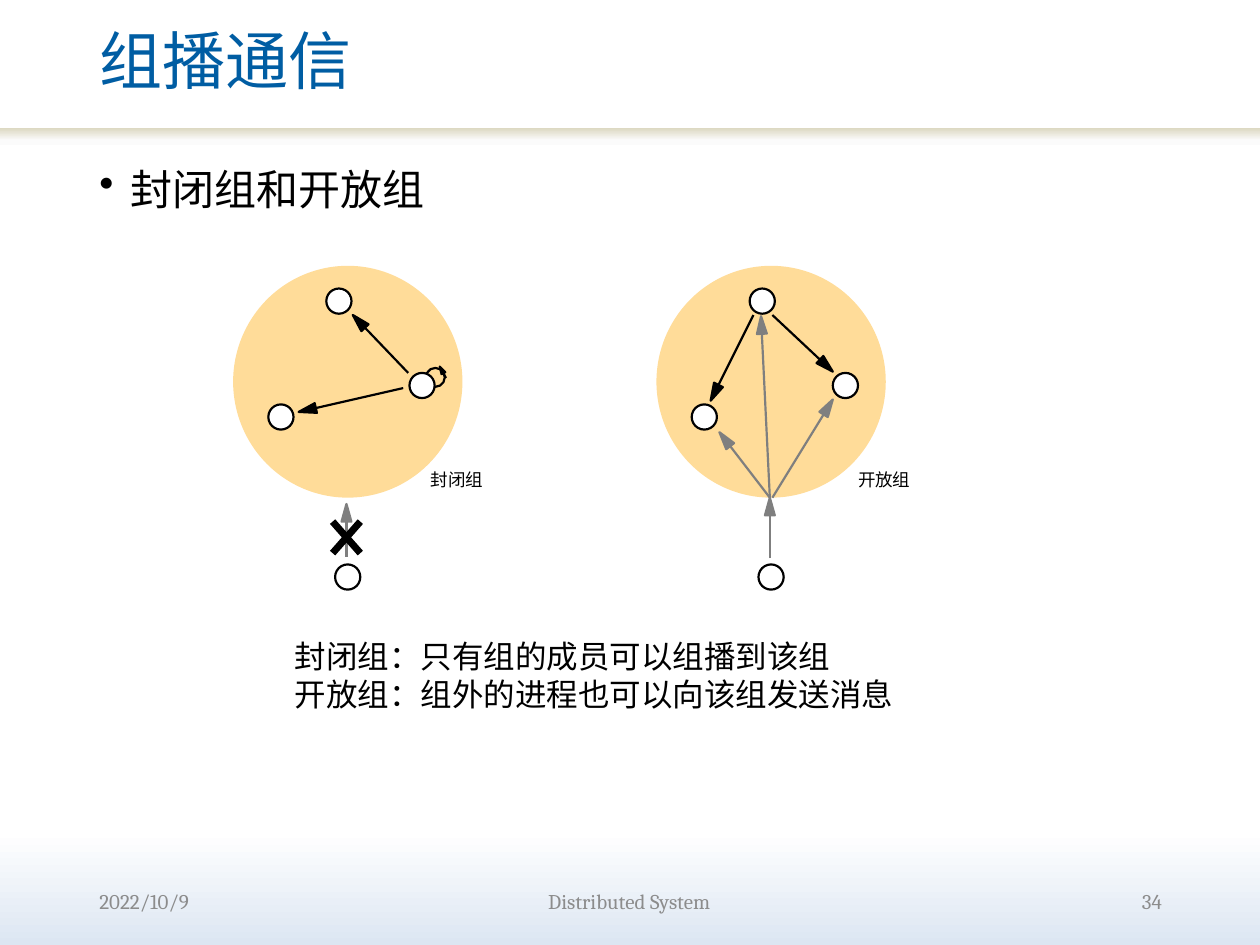
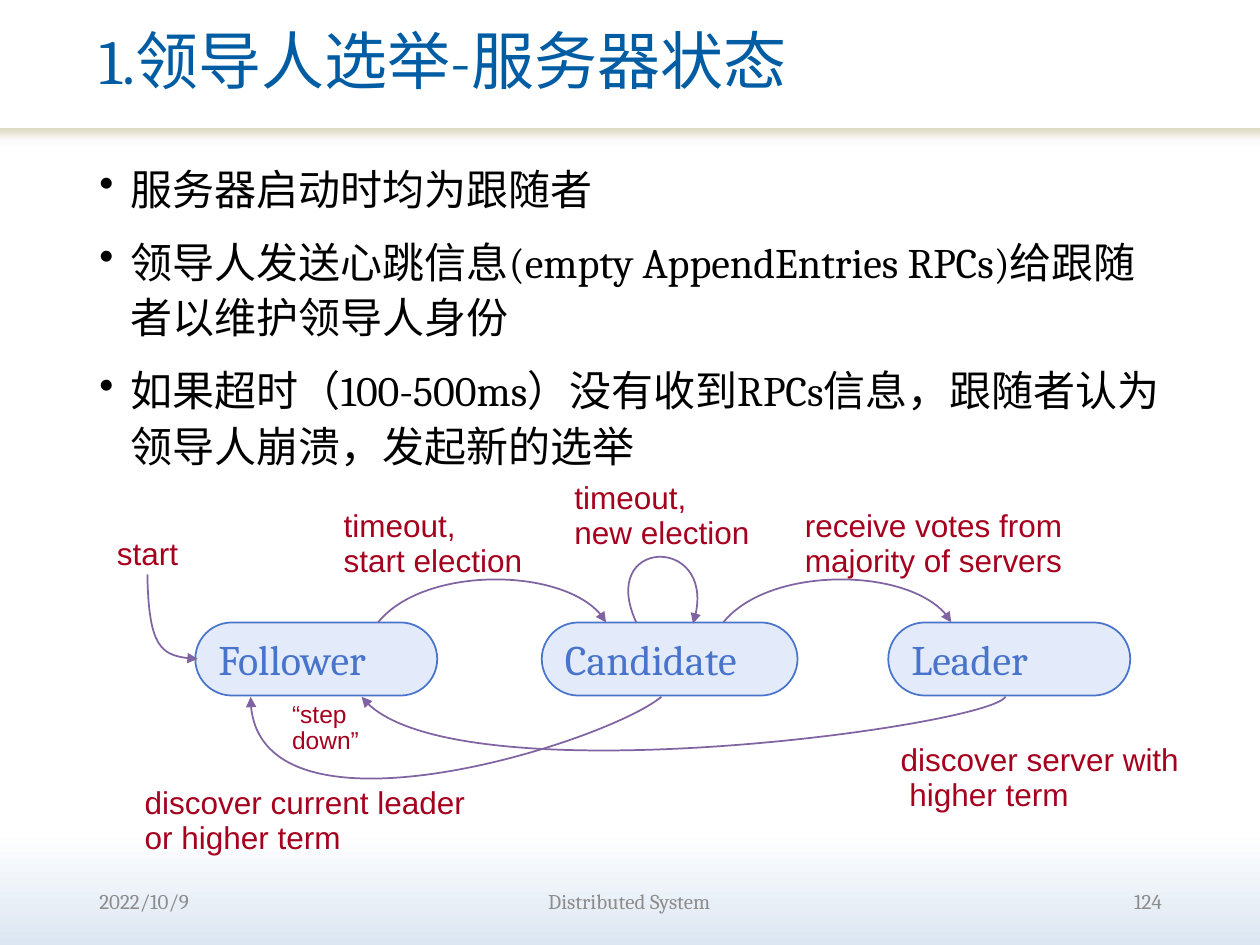
"""Build two distributed-systems slides: group multicast and leader-election states."""
from copy import deepcopy
from dataclasses import dataclass
from math import hypot

from lxml.etree import SubElement
from pptx import Presentation
from pptx.dml.color import RGBColor
from pptx.enum.shapes import MSO_CONNECTOR, MSO_SHAPE
from pptx.enum.text import MSO_ANCHOR, MSO_AUTO_SIZE, PP_ALIGN
from pptx.oxml.ns import qn
from pptx.util import Inches, Pt


@dataclass(frozen=True)
class Theme:
    title: str = "005DA3"
    ink: str = "000000"
    paper: str = "FFFFFF"
    muted: str = "8C8C8C"
    outside: str = "7F7F7F"
    group: str = "FFDC99"
    state_fill: str = "E3EAF9"
    state: str = "4974CB"
    transition: str = "8064A2"
    event: str = "A5001E"
    background: tuple = ((0, "FFFFFF"), (0.88, "FFFFFF"), (1, "DCE6F2"))
    band: tuple = ((0, "FFFFFF"), (0.45, "FBFBFB"), (1, "DDD9C3"))
    serif: str = "Cambria"
    sans: str = "Arial"
    caption: str = "Cabin"
    title_size: int = 36
    body_size: int = 24
    label_size: int = 18
    note_size: int = 14
    footer_size: int = 12
    small_size: int = 10
    diagram_line: float = 1.25
    state_line: float = 1
    cross_line: float = 4


class Deck:
    def __init__(self, theme):
        self.theme = theme
        self.presentation = Presentation()
        self.presentation.slide_width = Inches(10)
        self.presentation.slide_height = Inches(7.5)
        self.slide = None
        master = self.presentation.slide_master
        self.gradient(master.background.fill, master.element, theme.background, 270)

    def gradient(self, fill, owner, stops, angle):
        fill.gradient()
        stop_list = next(owner.iter(qn("a:gsLst")))
        while len(stop_list) < len(stops):
            stop_list.append(deepcopy(stop_list[0]))
        for stop, (position, color) in zip(fill.gradient_stops, stops):
            stop.position = position
            stop.color.rgb = RGBColor.from_string(color)
        fill.gradient_angle = angle

    def font(self, paragraph, size, color, name):
        paragraph.font.size = Pt(size)
        paragraph.font.color.rgb = RGBColor.from_string(color)
        paragraph.font.name = name

    def paint(self, shape, fill=None, line=None, width=1):
        shape.shadow.inherit = False
        if fill:
            shape.fill.solid()
            shape.fill.fore_color.rgb = RGBColor.from_string(fill)
        else:
            shape.fill.background()
        if line:
            self.stroke(shape, line, width)
        else:
            shape.line.fill.background()

    def stroke(self, shape, color, width):
        shape.line.color.rgb = RGBColor.from_string(color)
        shape.line.width = Pt(width)

    def add_slide(self, title, number):
        theme = self.theme
        self.slide = self.presentation.slides.add_slide(
            self.presentation.slide_layouts.get_by_name("Title Only"))
        placeholder = self.slide.shapes.title
        placeholder.left, placeholder.top = Inches(0.69), Inches(0)
        placeholder.width, placeholder.height = Inches(8.3), Inches(1.02)
        frame = placeholder.text_frame
        frame.text = title
        frame.auto_size = MSO_AUTO_SIZE.NONE
        frame.vertical_anchor = MSO_ANCHOR.MIDDLE
        paragraph = frame.paragraphs[0]
        paragraph.alignment = PP_ALIGN.LEFT
        paragraph.line_spacing = 0.9
        self.font(paragraph, theme.title_size, theme.title, theme.serif)
        band = self.shape(MSO_SHAPE.RECTANGLE, 0, 1.02, 10, 0.17)
        self.gradient(band.fill, band.element, theme.band, 90)
        footers = ((0.69, 2.08, "2022/10/9", PP_ALIGN.LEFT),
                   (2.76, 4.47, "Distributed System", PP_ALIGN.CENTER),
                   (7.24, 2.08, str(number), PP_ALIGN.RIGHT))
        for left, width, text, alignment in footers:
            frame = self.text(left, 6.95, width, 0.4, [text], theme.footer_size,
                              theme.muted, theme.serif, wrap=True)
            frame.vertical_anchor = MSO_ANCHOR.MIDDLE
            frame.paragraphs[0].alignment = alignment

    def text(self, left, top, width, height, lines, size, color, name,
             wrap=False, bullet=False, spacing=None):
        box = self.slide.shapes.add_textbox(
            Inches(left), Inches(top), Inches(width), Inches(height))
        frame = box.text_frame
        frame.word_wrap = wrap
        frame.auto_size = MSO_AUTO_SIZE.NONE if wrap else MSO_AUTO_SIZE.SHAPE_TO_FIT_TEXT
        for index, line in enumerate(lines):
            paragraph = frame.add_paragraph() if index else frame.paragraphs[0]
            paragraph.text = line
            if spacing:
                paragraph.line_spacing = spacing
            if bullet:
                if index:
                    paragraph.space_before = Pt(10)
                properties = paragraph._p.get_or_add_pPr()
                properties.set("marL", str(Inches(0.25)))
                properties.set("indent", str(-Inches(0.25)))
                SubElement(properties, qn("a:buChar"), char="•")
            self.font(paragraph, size, color, name)
        return frame

    def bullets(self, lines):
        theme = self.theme
        self.text(0.69, 1.21, 8.62, 5.55, lines, theme.body_size, theme.ink,
                  theme.serif, wrap=True, bullet=True, spacing=1.1)

    def shape(self, kind, left, top, width, height, fill=None, line=None, line_width=1):
        shape = self.slide.shapes.add_shape(
            kind, Inches(left), Inches(top), Inches(width), Inches(height))
        self.paint(shape, fill, line, line_width)
        return shape

    def outline(self, points, close):
        corners = [(Inches(x), Inches(y)) for x, y in points]
        builder = self.slide.shapes.build_freeform(*corners[0], scale=1.0)
        builder.add_line_segments(corners[1:], close=close)
        return builder.convert_to_shape()

    def node(self, left, top):
        theme = self.theme
        self.shape(MSO_SHAPE.OVAL, left, top, 0.2, 0.2,
                   theme.paper, theme.ink, theme.diagram_line)

    def line(self, start, end, color, width):
        connector = self.slide.shapes.add_connector(
            MSO_CONNECTOR.STRAIGHT, *(Inches(value) for value in (*start, *end)))
        self.stroke(connector, color, width)
        SubElement(connector._element.spPr, qn("a:effectLst"))

    def arrow(self, start, tip, color, head=0.14):
        width = self.theme.diagram_line
        length = hypot(tip[0] - start[0], tip[1] - start[1])
        across, down = (tip[0] - start[0]) / length, (tip[1] - start[1]) / length
        base = tip[0] - head * across, tip[1] - head * down
        half = 0.28 * head
        if length > head:
            self.line(start, base, color, width)
        corners = [tip, (base[0] - half * down, base[1] + half * across),
                   (base[0] + half * down, base[1] - half * across)]
        self.paint(self.outline(corners, True), color, color, width)

    def group(self, left, label_left, label):
        theme = self.theme
        self.shape(MSO_SHAPE.OVAL, left, 2.11, 1.82, 1.84, theme.group)
        frame = self.text(label_left, 3.72, 0.42, 0.17, [label],
                          theme.small_size, theme.ink, theme.sans)
        frame.margin_left = frame.margin_right = 0
        frame.margin_top = frame.margin_bottom = 0

    def state(self, left, width, name):
        theme = self.theme
        shape = self.shape(MSO_SHAPE.ROUNDED_RECTANGLE, left, 4.94, width, 0.58,
                           theme.state_fill, theme.state, theme.state_line)
        shape.adjustments[0] = 0.5
        frame = shape.text_frame
        frame.text = name
        frame.vertical_anchor = MSO_ANCHOR.MIDDLE
        frame.paragraphs[0].alignment = PP_ALIGN.LEFT
        self.font(frame.paragraphs[0], theme.body_size, theme.state, theme.serif)

    def transition(self, points):
        shape = self.outline(points, False)
        self.paint(shape, line=self.theme.transition, width=self.theme.state_line)
        properties = shape._element.spPr
        SubElement(properties.find(qn("a:ln")), qn("a:tailEnd"), type="triangle")
        curve_path = next(properties.iter(qn("a:path")))
        segments = curve_path.findall(qn("a:lnTo"))
        curve = SubElement(curve_path, qn("a:cubicBezTo"))
        for segment in segments:
            curve.append(segment[0])
            curve_path.remove(segment)

    def event(self, left, top, width, height, text, size=None, spacing=20):
        theme = self.theme
        self.text(left, top, width, height, [text], size or theme.label_size,
                  theme.event, theme.sans, spacing=Pt(spacing) if spacing else None)


def build_multicast(deck):
    theme = deck.theme
    deck.add_slide("组播通信", 34)
    deck.bullets(["封闭组和开放组"])
    closed_left, open_left = 1.85, 5.21
    deck.group(closed_left, 3.42, "封闭组")
    deck.group(open_left, 6.81, "开放组")

    deck.shape(MSO_SHAPE.OVAL, 3.38, 2.92, 0.15, 0.15,
               line=theme.ink, line_width=theme.diagram_line)
    deck.arrow((3.54, 3), (3.49, 2.91), theme.ink, head=0.06)
    member_arrows = (((3.24, 2.96), (2.8, 2.5)), ((3.2, 3.08), (2.37, 3.27)),
                     ((5.98, 2.5), (5.64, 3.18)), ((6.13, 2.5), (6.61, 2.95)))
    for start, tip in member_arrows:
        deck.arrow(start, tip, theme.ink)
    outside_arrows = (((2.75, 4.42), (2.75, 4)), ((6.11, 4.43), (6.11, 3.95)),
                      ((6.11, 3.95), (6.04, 2.51)), ((6.11, 3.95), (5.71, 3.43)),
                      ((6.13, 3.95), (6.61, 3.17)))
    for start, tip in outside_arrows:
        deck.arrow(start, tip, theme.outside)
    for left in (closed_left, open_left):
        for across, top in ((0.74, 2.29), (0.28, 3.21), (1.4, 2.96), (0.81, 4.48)):
            deck.node(left + across, top)
    for top, bottom in ((4.14, 4.39), (4.39, 4.14)):
        deck.line((2.64, top), (2.86, bottom), theme.ink, theme.cross_line)
    deck.text(2.24, 5.01, 4.98, 0.7,
              ["封闭组：只有组的成员可以组播到该组", "开放组：组外的进程也可以向该组发送消息"],
              theme.label_size, theme.ink, theme.caption)


def build_election(deck):
    deck.add_slide("1.领导人选举-服务器状态", 124)
    deck.bullets(["服务器启动时均为跟随者",
                  "领导人发送心跳信息(empty AppendEntries RPCs)给跟随者以维护领导人身份",
                  "如果超时（100-500ms）没有收到RPCs信息，跟随者认为领导人崩溃，发起新的选举"])
    states = ((1.92, "Follower"), (2.03, "Candidate"), (1.92, "Leader"))
    for index, (width, name) in enumerate(states):
        deck.state(1.55 + 2.75 * index, width, name)
    transitions = (
        ((1.17, 4.56), (1.18, 5.13), (1.3, 5.22), (1.57, 5.23)),
        ((3, 4.94), (3.36, 4.49), (4.57, 4.5), (4.81, 4.94)),
        ((5.74, 4.94), (6.1, 4.49), (7.31, 4.5), (7.55, 4.94)),
        ((5.05, 4.94), (4.74, 4.27), (5.73, 4.24), (5.5, 4.95)),
        ((5.25, 5.53), (4.8, 5.9), (1.98, 6.78), (1.99, 5.53)),
        ((7.98, 5.53), (7.86, 5.76), (3.5, 6.36), (2.87, 5.53)))
    for points in transitions:
        deck.transition(points)
    deck.event(0.83, 4.19, 0.69, 0.4, "start", spacing=None)
    events = ((2.63, 3.99, 1.63, "timeout,\nstart election"),
              (6.29, 3.99, 2.26, "receive votes from\nmajority of servers"),
              (4.46, 3.77, 1.6, "timeout,\nnew election"),
              (7.05, 5.85, 2.43, "discover server with\n higher term"),
              (1.05, 6.19, 2.77, "discover current leader\nor higher term"))
    for left, top, width, text in events:
        deck.event(left, top, width, 0.66, text)
    deck.event(2.22, 5.52, 0.73, 0.52, "“step\ndown”", deck.theme.note_size, 15)


def main():
    deck = Deck(Theme())
    build_multicast(deck)
    build_election(deck)
    deck.presentation.save("out.pptx")


if __name__ == "__main__":
    main()
